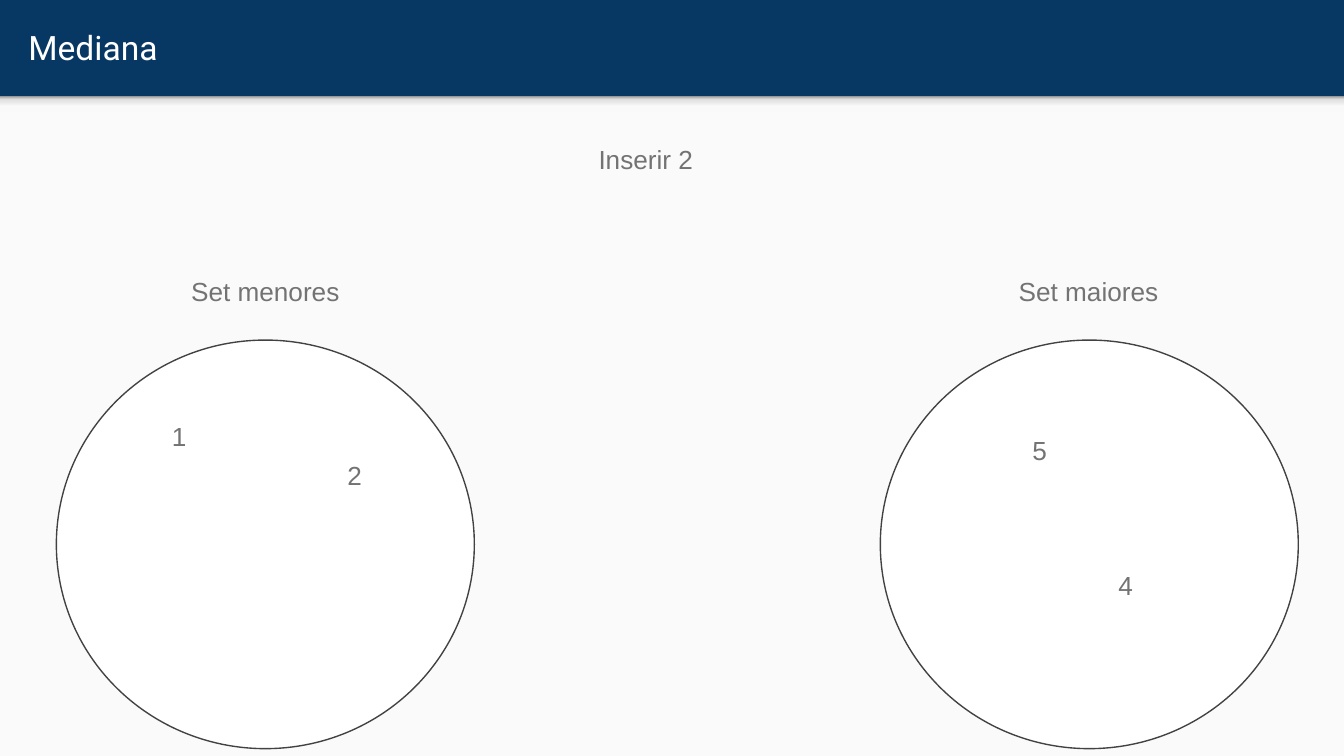
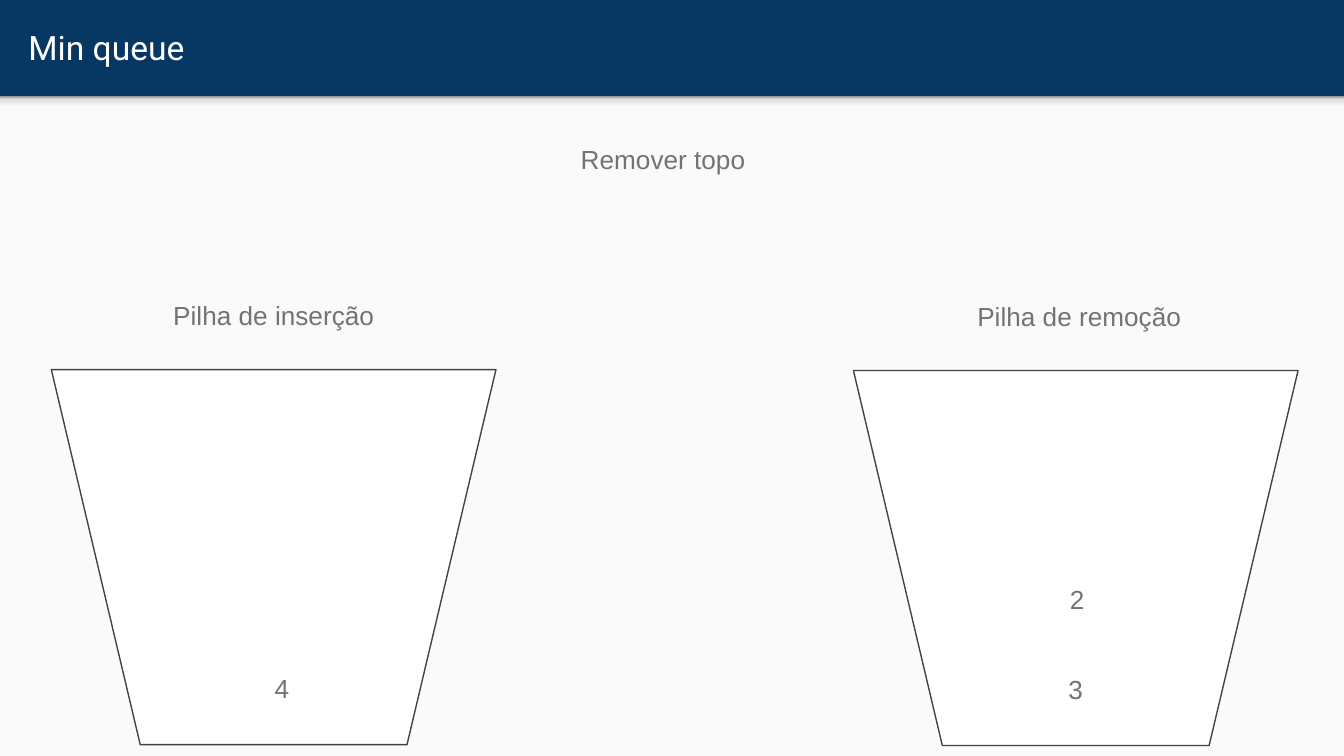
from dataclasses import dataclass
from lxml.etree import SubElement
from pptx import Presentation
from pptx.dml.color import RGBColor
from pptx.enum.shapes import MSO_SHAPE
from pptx.enum.text import MSO_ANCHOR, PP_ALIGN
from pptx.oxml.ns import qn
from pptx.util import Pt


@dataclass(frozen=True)
class Theme:
    navy: str = "073763"
    paper: str = "FAFAFA"
    white: str = "FFFFFF"
    outline: str = "424242"
    text: str = "737373"
    shade: tuple = ((0, "F9F9F9"), (36, "F9F9F9"), (80, "DEDEDE"), (100, "999999"))
    title_font: str = "Roboto"
    body_font: str = "Arial"
    title_size: float = 18
    body_size: float = 14
    line: float = 0.75


THEME = Theme()
WIDTH, HEIGHT = 720, 405
BAND, SHADE_HEIGHT = 51.5, 8.7
TITLE_BOX = (8, 1.5, 695, 47.5)
ACTION_TOP = 73.4
LABEL_HEIGHT = 26

SLIDES = [
    {
        "title": "Mediana",
        "action": ("Inserir 2", 346),
        "shape": MSO_SHAPE.OVAL,
        "size": (223.9, 218.9),
        "label_gap": 38.2,
        "containers": [
            {"at": (30.2, 182.2), "label": ("Set menores", 142.2),
             "values": [("1", 95.9, 221.8), ("2", 190, 242.6)]},
            {"at": (471.6, 182.2), "label": ("Set maiores", 583.2),
             "values": [("5", 557, 229.2), ("4", 603, 301.7)]},
        ],
    },
    {
        "title": "Min queue",
        "action": ("Remover topo", 355.2),
        "shape": MSO_SHAPE.FLOWCHART_MANUAL_OPERATION,
        "size": (238.2, 200.9),
        "label_gap": 41,
        "containers": [
            {"at": (27.5, 198), "label": ("Pilha de inserção", 146.7),
             "values": [("4", 151, 356.4)]},
            {"at": (457.2, 198.5), "label": ("Pilha de remoção", 578.2),
             "values": [("2", 577, 309.2), ("3", 576.3, 357.4)]},
        ],
    },
]


def color(code):
    return RGBColor.from_string(code)


def write(frame, text, *, font=THEME.body_font, size=THEME.body_size,
          fill=THEME.text, align=PP_ALIGN.CENTER, anchor=MSO_ANCHOR.TOP,
          side=0, edge=3.6):
    frame.word_wrap = True
    frame.vertical_anchor = anchor
    frame.margin_left = frame.margin_right = Pt(side)
    frame.margin_top = frame.margin_bottom = Pt(edge)
    para = frame.paragraphs[0]
    para.alignment = align
    span = para.add_run()
    span.text = text
    span.font.name = font
    span.font.size = Pt(size)
    span.font.color.rgb = color(fill)


def add_figure(page, kind, left, top, width, height, fill, line=None):
    figure = page.shapes.add_shape(kind, Pt(left), Pt(top), Pt(width), Pt(height))
    figure.shadow.inherit = False
    figure.fill.solid()
    figure.fill.fore_color.rgb = color(fill)
    if line:
        figure.line.color.rgb = color(line)
        figure.line.width = Pt(THEME.line)
    else:
        figure.line.fill.background()
    return figure


def add_label(page, text, center, top, width):
    box = page.shapes.add_textbox(Pt(center - width / 2), Pt(top), Pt(width), Pt(LABEL_HEIGHT))
    write(box.text_frame, text)


def shade(figure):
    figure.fill.gradient()
    figure.fill.gradient_angle = 90
    stops = figure.element.spPr.find(qn("a:gradFill")).find(qn("a:gsLst"))
    for stop in list(stops):
        stops.remove(stop)
    for percent, code in THEME.shade:
        stop = SubElement(stops, qn("a:gs"), pos=str(percent * 1000))
        SubElement(stop, qn("a:srgbClr"), val=code)


def dress_layout(layout, page):
    layout.background.fill.solid()
    layout.background.fill.fore_color.rgb = color(THEME.navy)
    paper = add_figure(page, MSO_SHAPE.RECTANGLE, 0, BAND, WIDTH, HEIGHT - BAND, THEME.paper)
    shadow = add_figure(page, MSO_SHAPE.RECTANGLE, 0, BAND, WIDTH, SHADE_HEIGHT, THEME.paper)
    shade(shadow)
    for part in (paper, shadow):
        layout.shapes.element.append(part.element)


def add_title(page, text):
    title = page.shapes.title
    title.left, title.top, title.width, title.height = map(Pt, TITLE_BOX)
    write(title.text_frame, text, font=THEME.title_font, size=THEME.title_size,
          fill=THEME.white, align=PP_ALIGN.LEFT, anchor=MSO_ANCHOR.MIDDLE,
          side=7.2, edge=7.2)


def fill_page(page, content):
    add_title(page, content["title"])
    width, height = content["size"]
    add_label(page, *content["action"], ACTION_TOP, 180)
    for container in content["containers"]:
        left, top = container["at"]
        add_figure(page, content["shape"], left, top, width, height, THEME.white, THEME.outline)
        add_label(page, *container["label"], top - content["label_gap"], 180)
        for value, center, value_top in container["values"]:
            add_label(page, value, center, value_top, 24)


def main():
    deck = Presentation()
    deck.slide_width, deck.slide_height = Pt(WIDTH), Pt(HEIGHT)
    layout = deck.slide_layouts[5]
    pages = [deck.slides.add_slide(layout) for _ in SLIDES]
    dress_layout(layout, pages[0])
    for page, content in zip(pages, SLIDES):
        fill_page(page, content)
    deck.save("out.pptx")


if __name__ == "__main__":
    main()
